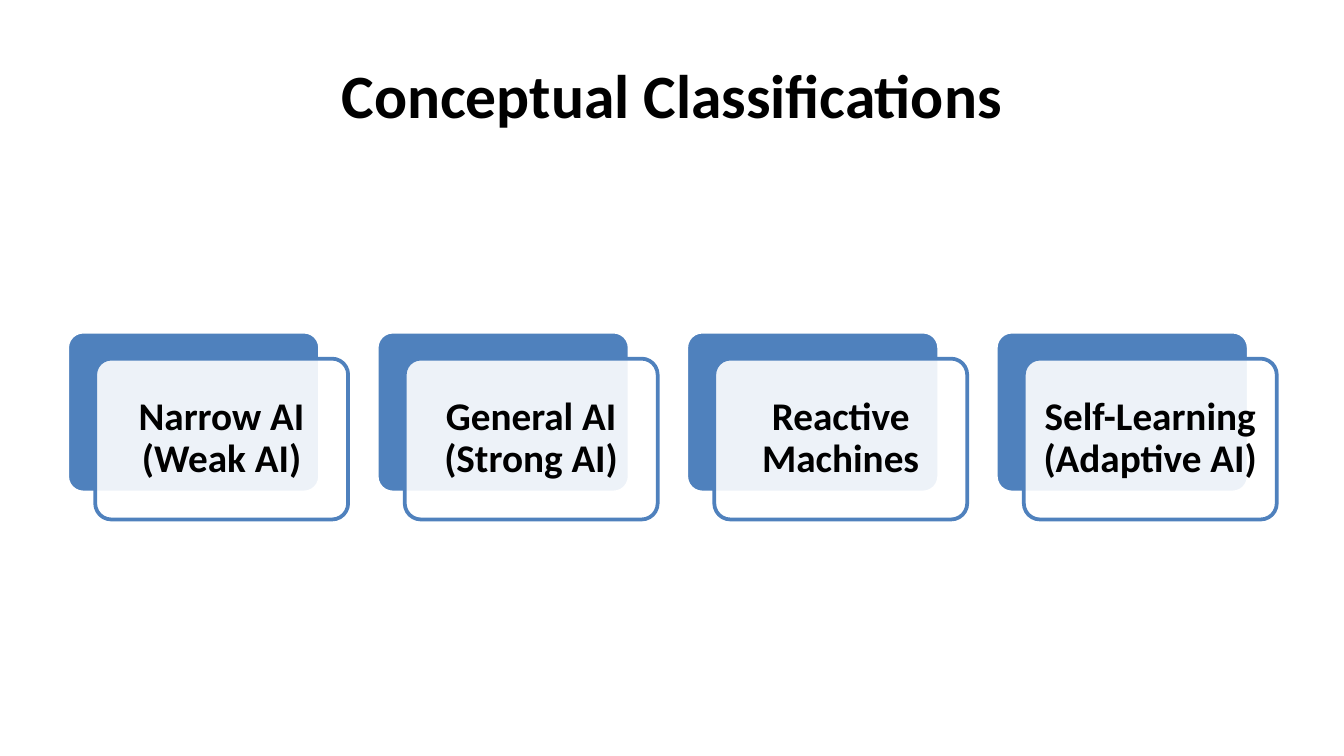
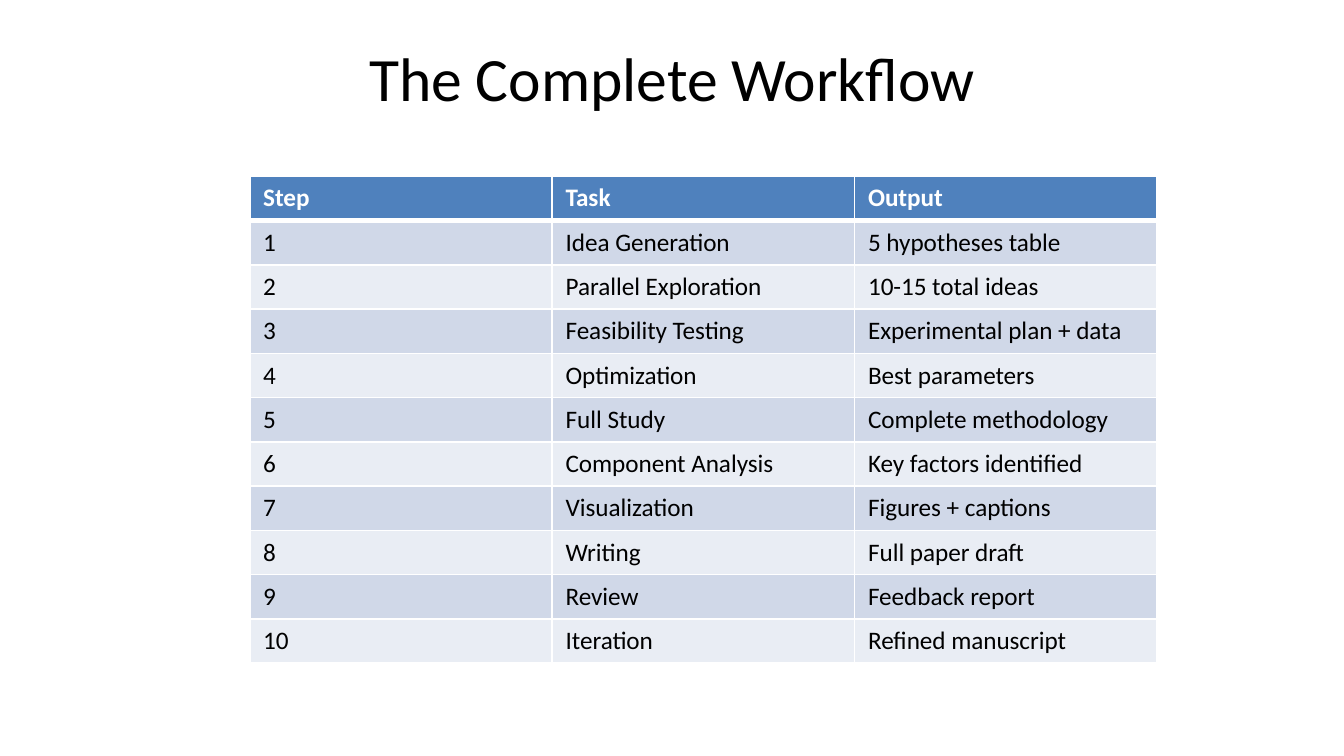
from lxml import etree
from pptx import Presentation
from pptx.dml.color import RGBColor
from pptx.enum import shapes, text
from pptx.oxml import ns
from pptx.util import Cm, Pt

TITLES = ["Conceptual Classifications", "The Complete Workflow"]
CLASSES = [
    "Narrow AI (Weak AI)",
    "General AI (Strong AI)",
    "Reactive Machines",
    "Self-Learning (Adaptive AI)",
]
HEADER = ("Step", "Task", "Output")
STEPS = [
    ("Idea Generation", "5 hypotheses table"),
    ("Parallel Exploration", "10-15 total ideas"),
    ("Feasibility Testing", "Experimental plan + data"),
    ("Optimization", "Best parameters"),
    ("Full Study", "Complete methodology"),
    ("Component Analysis", "Key factors identified"),
    ("Visualization", "Figures + captions"),
    ("Writing", "Full paper draft"),
    ("Review", "Feedback report"),
    ("Iteration", "Refined manuscript"),
]
COLORS = {
    "blue": "4F81BD",
    "white": "FFFFFF",
    "black": "000000",
    "odd": "D0D8E8",
    "even": "E9EDF4",
}
FONT = "Calibri"


def rgb(name):
    return RGBColor.from_string(COLORS[name])


def format_text(p, size, color="black", bold=False):
    for r in p.runs:
        r.font.name = FONT
        r.font.size = Pt(size)
        r.font.bold = bold
        r.font.color.rgb = rgb(color)


def add_slide(prs, title, bold=False, bottom=0.13):
    s = prs.slides.add_slide(prs.slide_layouts[5])
    sp = s.shapes.title
    sp.left, sp.top, sp.width, sp.height = Cm(1.27), Cm(0.58), Cm(22.86), Cm(2.38)
    tf = sp.text_frame
    tf.text = title
    tf.auto_size = text.MSO_AUTO_SIZE.NONE
    tf.vertical_anchor = text.MSO_ANCHOR.MIDDLE
    tf.margin_bottom = Cm(bottom)
    tf.paragraphs[0].alignment = text.PP_ALIGN.CENTER
    format_text(tf.paragraphs[0], 33, bold=bold)
    return s


def add_card(s, x, y, fill, line):
    sp = s.shapes.add_shape(
        shapes.MSO_SHAPE.ROUNDED_RECTANGLE, Cm(x), Cm(y), Cm(4.78), Cm(3.04)
    )
    sp.adjustments[0] = 0.1
    sp.shadow.inherit = False
    sp.fill.solid()
    sp.fill.fore_color.rgb = rgb(fill)
    sp.line.color.rgb = rgb(line)
    sp.line.width = Pt(2)
    return sp


def add_class(s, x, y, label):
    add_card(s, x, y, "blue", "white")
    sp = add_card(s, x + 0.53, y + 0.51, "white", "blue")
    color = sp.fill._xPr.find(ns.qn("a:solidFill"))[0]
    etree.SubElement(color, ns.qn("a:alpha"), val="90000")
    tf = sp.text_frame
    tf.text = label
    tf.word_wrap = True
    tf.vertical_anchor = text.MSO_ANCHOR.MIDDLE
    tf.margin_left = tf.margin_right = tf.margin_top = tf.margin_bottom = Cm(0.23)
    p = tf.paragraphs[0]
    p.alignment = text.PP_ALIGN.CENTER
    p.line_spacing = 0.9
    format_text(p, 21, bold=True)


def set_border(cell, side, width):
    ln = etree.SubElement(
        cell._tc.get_or_add_tcPr(), ns.qn(f"a:ln{side}"), w=str(Pt(width))
    )
    fill = etree.SubElement(ln, ns.qn("a:solidFill"))
    etree.SubElement(fill, ns.qn("a:srgbClr"), val=COLORS["white"])


def format_cell(cell, row):
    widths = {
        "L": 1,
        "R": 1,
        "T": 3 if row == 1 else 1,
        "B": 3 if row == 0 else 1,
    }
    for side, width in widths.items():
        set_border(cell, side, width)
    cell.fill.solid()
    band = "odd" if row % 2 else "even"
    cell.fill.fore_color.rgb = rgb(band if row else "blue")
    p = cell.text_frame.paragraphs[0]
    p.line_spacing = Pt(16.5)
    format_text(p, 13.5, "black" if row else "white", row == 0)


def add_workflow(s):
    rows = [HEADER] + [(str(i), *step) for i, step in enumerate(STEPS, 1)]
    table = s.shapes.add_table(
        len(rows), len(HEADER), Cm(4.72), Cm(3.33), Cm(17.15), Cm(0.83 * len(rows))
    ).table
    for i, row in enumerate(rows):
        for j, value in enumerate(row):
            cell = table.cell(i, j)
            cell.text = value
            format_cell(cell, i)


def main():
    prs = Presentation()
    prs.slide_width, prs.slide_height = Cm(25.4), Cm(14.29)
    s = add_slide(prs, TITLES[0], bold=True)
    for i, label in enumerate(CLASSES):
        add_class(s, 1.27 + 5.85 * i, 6.27, label)
    s = add_slide(prs, TITLES[1], bottom=0.77)
    add_workflow(s)
    prs.save("out.pptx")


if __name__ == "__main__":
    main()
